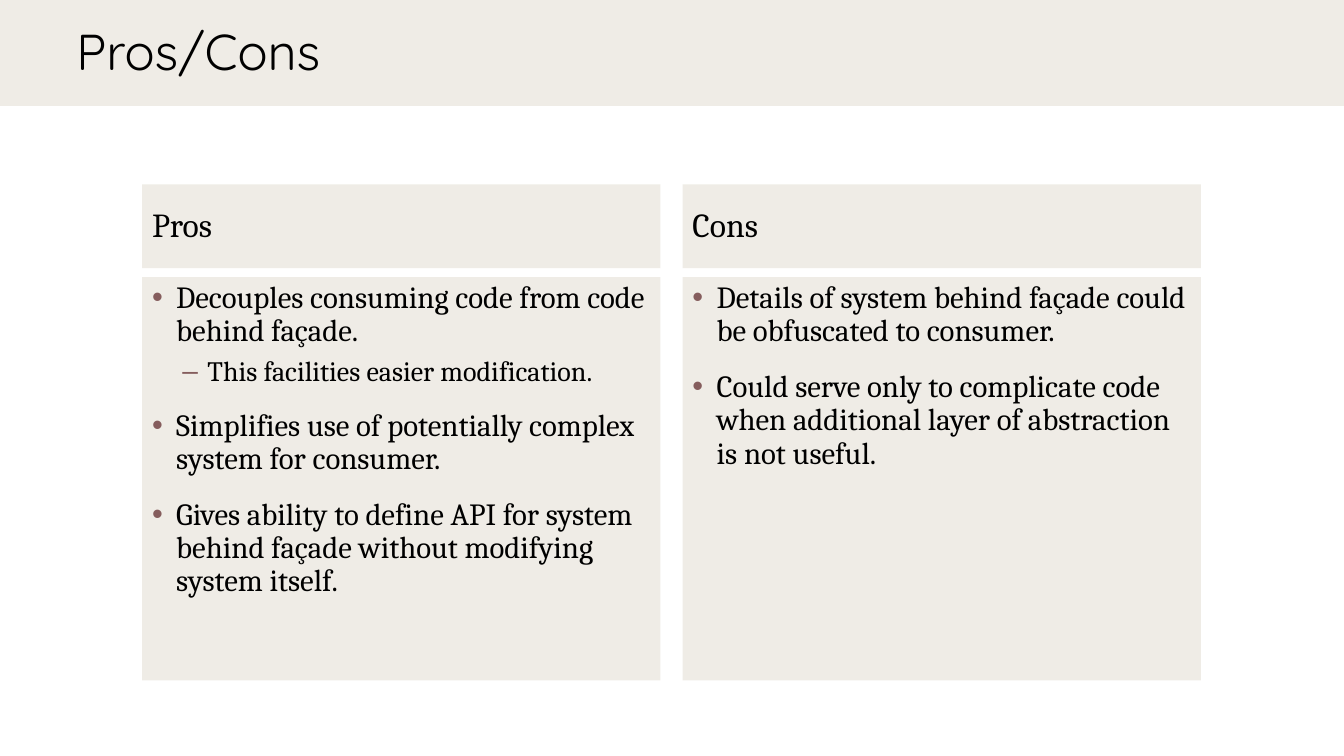
from lxml.etree import SubElement
from pptx import Presentation
from pptx.dml.color import RGBColor
from pptx.enum.shapes import MSO_SHAPE
from pptx.enum.text import MSO_ANCHOR, PP_ALIGN
from pptx.oxml.ns import qn
from pptx.util import Inches, Pt

TITLE = "Pros/Cons"
# Each column: heading, then (level, text) points
COLUMNS = [
    ("Pros", [
        (0, "Decouples consuming code from code behind façade."),
        (1, "This facilities easier modification."),
        (0, "Simplifies use of potentially complex system for consumer."),
        (0, "Gives ability to define API for system behind façade "
            "without modifying system itself."),
    ]),
    ("Cons", [
        (0, "Details of system behind façade could be obfuscated to consumer."),
        (0, "Could serve only to complicate code when additional layer "
            "of abstraction is not useful."),
    ]),
]
# Per level: bullet, size, space before, left indent
LEVELS = [("•", 22, 16, 0.24), ("–", 20, 6, 0.55)]

SAND = RGBColor(0xE9, 0xE5, 0xDC)
MAUVE = RGBColor(0x85, 0x5D, 0x5D)
BLACK = RGBColor(0, 0, 0)
BODY, HEAD = "Cambria", "Quicksand"

WIDE, HIGH = 13.33, 7.5
LEFT, PITCH, COL = 1.41, 5.36, 5.14
HEAD_TOP, HEAD_H = 1.83, 0.83
LIST_TOP, LIST_H = 2.75, 4
HANG = 0.25


def add_panel(slide, left, top, width, height, anchor=MSO_ANCHOR.MIDDLE):
    """Add a translucent sand rectangle and return its text frame."""
    panel = slide.shapes.add_shape(MSO_SHAPE.RECTANGLE, Inches(left),
                                   Inches(top), Inches(width), Inches(height))
    panel.shadow.inherit = False
    panel.line.fill.background()
    panel.fill.solid()
    panel.fill.fore_color.rgb = SAND
    tint = panel.fill._xPr.find(qn("a:solidFill"))[0]
    SubElement(tint, qn("a:alpha"), val="70000")
    frame = panel.text_frame
    frame.word_wrap = True
    frame.vertical_anchor = anchor
    return frame


def set_text(para, text, size, face=BODY):
    para.text = text
    para.alignment = PP_ALIGN.LEFT
    para.line_spacing = 0.9
    para.font.size = Pt(size)
    para.font.name = face
    para.font.color.rgb = BLACK


def set_bullet(para, mark, indent):
    props = para._p.get_or_add_pPr()
    props.set("marL", str(Inches(indent)))
    props.set("indent", str(-Inches(HANG)))
    rest = props.find(qn("a:defRPr"))
    tint = SubElement(props, qn("a:buClr"))
    SubElement(tint, qn("a:srgbClr"), val=str(MAUVE))
    SubElement(props, qn("a:buFont"), typeface="Arial")
    SubElement(props, qn("a:buChar"), char=mark)
    if rest is not None:
        props.append(rest)


def add_list(frame, points):
    for i, (level, text) in enumerate(points):
        mark, size, gap, indent = LEVELS[level]
        para = frame.add_paragraph() if i else frame.paragraphs[0]
        set_text(para, text, size)
        para.level = level
        para.space_before = Pt(gap if i else 0)
        set_bullet(para, mark, indent)


def main():
    deck = Presentation()
    deck.slide_width, deck.slide_height = Inches(WIDE), Inches(HIGH)
    slide = deck.slides.add_slide(deck.slide_layouts[6])

    add_panel(slide, 0, -0.03, WIDE, 1.08)
    title = slide.shapes.add_textbox(Inches(0.66), 0, Inches(WIDE - 0.67),
                                     Inches(1.08)).text_frame
    title.word_wrap = True
    title.vertical_anchor = MSO_ANCHOR.MIDDLE
    set_text(title.paragraphs[0], TITLE, 36, HEAD)

    for i, (name, points) in enumerate(COLUMNS):
        left = LEFT + i * PITCH
        head = add_panel(slide, left, HEAD_TOP, COL, HEAD_H)
        set_text(head.paragraphs[0], name, 24)
        add_list(add_panel(slide, left, LIST_TOP, COL, LIST_H,
                           MSO_ANCHOR.TOP), points)

    deck.save("out.pptx")


if __name__ == "__main__":
    main()
